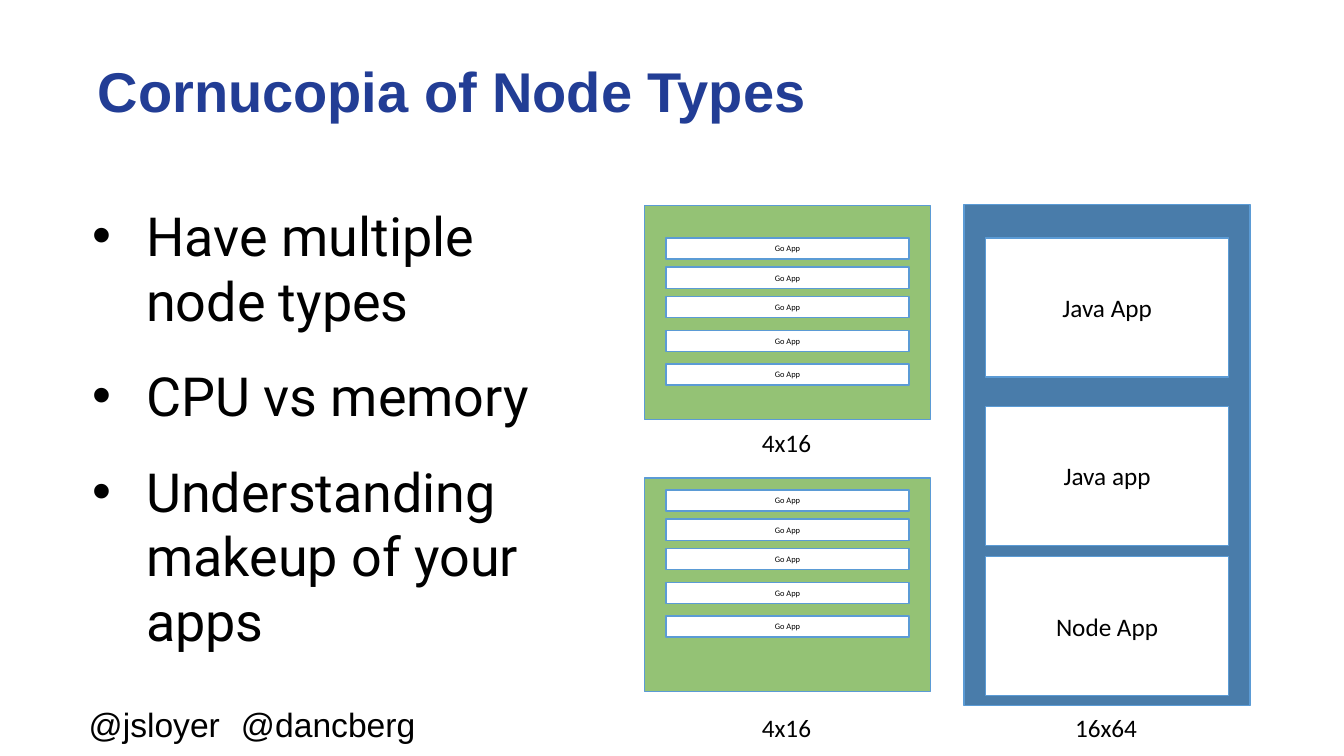
from lxml import etree
from pptx import Presentation
from pptx import util as u
from pptx.dml.color import RGBColor
from pptx.enum import shapes, text
from pptx.oxml.ns import qn

NAVY = RGBColor(0x22, 0x3D, 0x95)
BLACK = RGBColor(0, 0, 0)
WHITE = RGBColor(0xFF, 0xFF, 0xFF)
GREEN = RGBColor(0x94, 0xC2, 0x75)
BLUE = RGBColor(0x49, 0x7C, 0xAA)
EDGE = RGBColor(0x5B, 0x9B, 0xD5)

NODE_WIDTH = 2.84
APP_INSET = 0.215
APP_WIDTH = NODE_WIDTH - 2 * APP_INSET
GO_STEPS = (0, 0.29, 0.58, 0.92, 1.25)


def place(shape, left, top, width, height):
    box = {"left": left, "top": top, "width": width, "height": height}
    for name, value in box.items():
        setattr(shape, name, u.Inches(value))


def set_frame(frame, inset=0.05, **settings):
    margins = {f"margin_{side}": u.Inches(inset)
               for side in ("left", "top", "right", "bottom")}
    values = {"word_wrap": True, "auto_size": text.MSO_AUTO_SIZE.NONE}
    for name, value in {**values, **margins, **settings}.items():
        setattr(frame, name, value)


def write(para, words, font, size, color=BLACK, bold=False):
    span = para.add_run()
    span.text = words
    for name, value in {"name": font, "size": u.Pt(size), "bold": bold}.items():
        setattr(span.font, name, value)
    span.font.color.rgb = color


def add_title(page, words, *box):
    title = page.shapes.title
    place(title, *box)
    set_frame(title.text_frame, vertical_anchor=text.MSO_ANCHOR.MIDDLE)
    para = title.text_frame.paragraphs[0]
    para.alignment = text.PP_ALIGN.LEFT
    para.line_spacing = 0.9
    write(para, words, "Arial", 40, NAVY, bold=True)


def add_bullets(page, items, *box):
    body = page.placeholders[1]
    place(body, *box)
    frame = body.text_frame
    set_frame(frame, inset=0, vertical_anchor=text.MSO_ANCHOR.TOP)
    for index, item in enumerate(items):
        para = frame.add_paragraph() if index else frame.paragraphs[0]
        para.space_before = u.Pt(22)
        write(para, item, "Roboto", 38.5)
        # Hanging bullet
        props = para._p.get_or_add_pPr()
        props.set("marL", str(u.Inches(0.53)))
        props.set("indent", str(u.Inches(-0.53)))
        etree.SubElement(props, qn("a:buFont")).set("typeface", "Arial")
        etree.SubElement(props, qn("a:buChar")).set("char", "•")


def add_label(page, words, font, size, *box, **settings):
    label = page.shapes.add_textbox(*map(u.Inches, box))
    set_frame(label.text_frame, **settings)
    para = label.text_frame.paragraphs[0]
    write(para, words, font, size)
    return para


def add_rect(page, fill, *box):
    rect = page.shapes.add_shape(shapes.MSO_SHAPE.RECTANGLE, *map(u.Inches, box))
    rect.shadow.inherit = False
    rect.fill.solid()
    rect.fill.fore_color.rgb = fill
    rect.line.color.rgb = EDGE
    rect.line.width = u.Pt(1)
    return rect


def add_node(page, left, top, height, fill, apps, app_height, size, caption, caption_top):
    """Draw a node, its (name, offset) apps and the caption under it."""
    add_rect(page, fill, left, top, NODE_WIDTH, height)
    for name, offset in apps:
        app = add_rect(page, WHITE, left + APP_INSET, top + offset, APP_WIDTH, app_height)
        set_frame(app.text_frame, vertical_anchor=text.MSO_ANCHOR.MIDDLE)
        para = app.text_frame.paragraphs[0]
        para.alignment = text.PP_ALIGN.CENTER
        write(para, name, "Calibri", size)
    para = add_label(page, caption, "Calibri", 18, left, caption_top,
                     NODE_WIDTH - 0.02, 0.39)
    para.alignment = text.PP_ALIGN.CENTER


def add_handles(page, left, top):
    for words, offset, width in (("@jsloyer", 0, 1.49), ("@dancberg", 1.51, 1.88)):
        add_label(page, words, "Arial", 24, left + offset, top, width, 0.48)


def main():
    deck = Presentation()
    deck.slide_width, deck.slide_height = u.Inches(13.33), u.Inches(7.5)
    page = deck.slides.add_slide(deck.slide_layouts[1])

    # Title, bullets and footer
    add_title(page, "Cornucopia of Node Types", 0.92, 0.21, 11.5, 1.45)
    add_bullets(page, ("Have multiple node types", "CPU vs memory",
                       "Understanding makeup of your apps"), 0.92, 2.01, 4.93, 4.82)
    add_handles(page, 0.83, 6.93)

    # Small nodes
    for top, first, caption_top in ((2.04, 0.32, 4.19), (4.74, 0.12, 7.02)):
        apps = [("Go App", first + step) for step in GO_STEPS]
        add_node(page, 6.39, top, 2.12, GREEN, apps, 0.21, 6, "4x16", caption_top)

    # Large node
    apps = (("Java App", 0.33), ("Java app", 2), ("Node App", 3.49))
    add_node(page, 9.56, 2.03, 4.97, BLUE, apps, 1.38, 18, "16x64", 7.02)

    deck.save("out.pptx")


if __name__ == "__main__":
    main()
